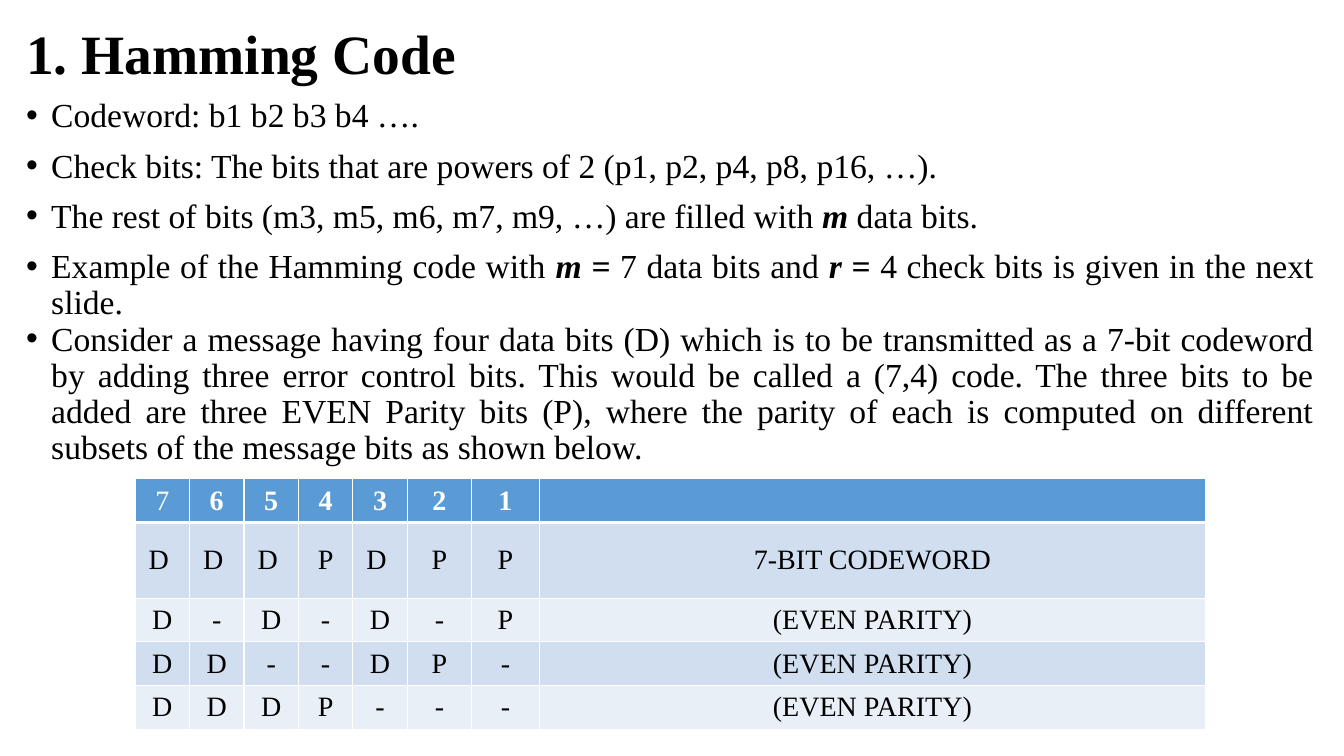
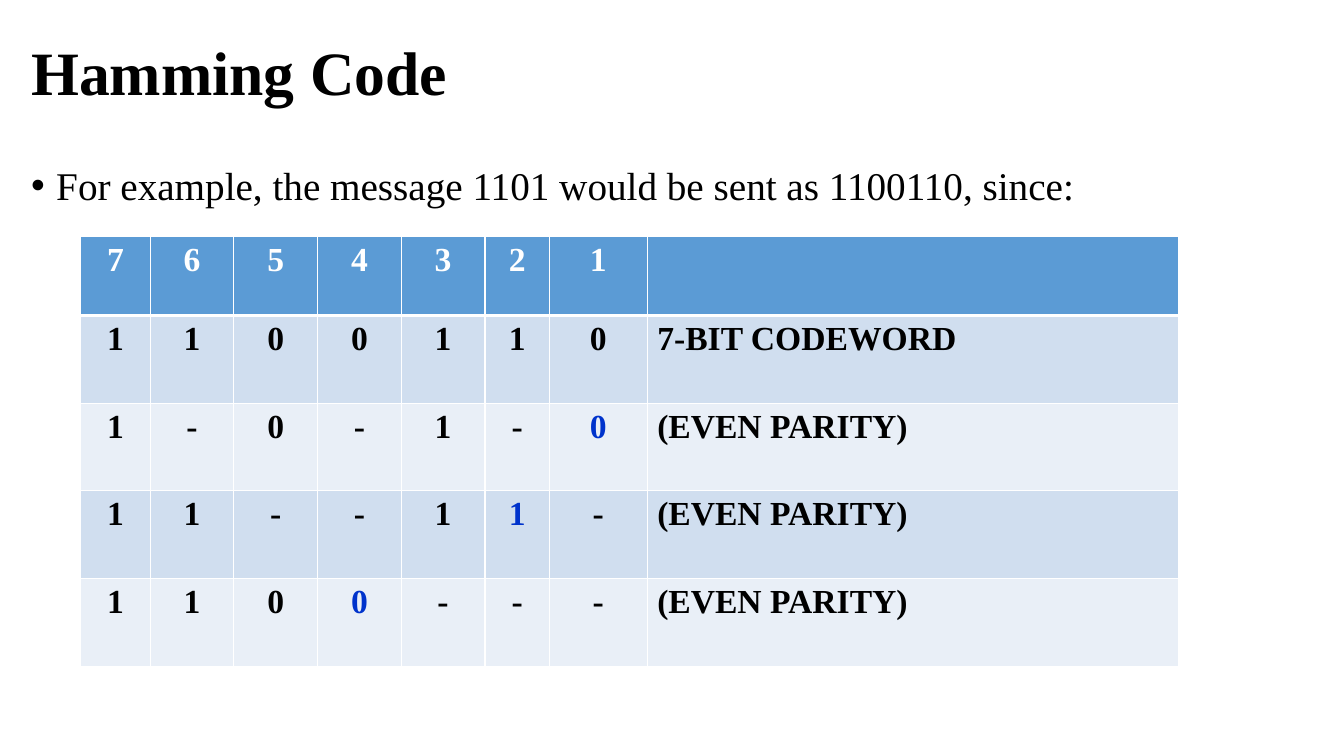
from lxml.etree import SubElement
from pptx import Presentation
from pptx.dml.color import RGBColor
from pptx.enum.text import MSO_ANCHOR, MSO_AUTO_SIZE, PP_ALIGN
from pptx.oxml.ns import qn
from pptx.util import Inches, Pt

# Shared style
FONT = "Times New Roman"
BLACK = RGBColor(0x00, 0x00, 0x00)
WHITE = RGBColor(0xFF, 0xFF, 0xFF)
PARITY_BLUE = RGBColor(0x00, 0x33, 0xCC)
HEADER_BLUE = RGBColor(0x5B, 0x9B, 0xD5)
BAND_DARK = RGBColor(0xD0, 0xDE, 0xEF)
BAND_LIGHT = RGBColor(0xE9, 0xEF, 0xF7)
LINE_SPACING = 0.9
BULLET_INDENT = Inches(0.25)
TITLE_ONLY = 5

BITS = ["7", "6", "5", "4", "3", "2", "1"]
CODEWORD = "7-BIT CODEWORD"
EVEN = "(EVEN PARITY)"


def write(p, text, emphasis=None, **fmt):
    """Write text into a paragraph; parts between asterisks take the emphasis."""
    for i, part in enumerate(text.split("*")):
        if not part:
            continue
        style = {"size": 24, "color": BLACK, "bold": False, "italic": False, **fmt}
        if i % 2:
            style.update(emphasis or {})
        r = p.add_run()
        r.text = part
        r.font.name = FONT
        r.font.size = Pt(style["size"])
        r.font.bold = style["bold"]
        r.font.italic = style["italic"]
        r.font.color.rgb = style["color"]


def add_bullet(p):
    pPr = p._p.get_or_add_pPr()
    pPr.set("marL", str(BULLET_INDENT))
    pPr.set("indent", str(-BULLET_INDENT))
    color = SubElement(pPr, qn("a:buClr"))
    SubElement(color, qn("a:srgbClr"), val=str(BLACK))
    SubElement(pPr, qn("a:buFont"), typeface="Arial")
    SubElement(pPr, qn("a:buChar"), char="•")


def add_titled_slide(prs, text, box, size):
    slide = prs.slides.add_slide(prs.slide_layouts[TITLE_ONLY])
    sp = slide.shapes.title
    sp.left, sp.top, sp.width, sp.height = map(Inches, box)
    tf = sp.text_frame
    tf.auto_size = MSO_AUTO_SIZE.NONE
    tf.vertical_anchor = MSO_ANCHOR.MIDDLE
    p = tf.paragraphs[0]
    p.alignment = PP_ALIGN.LEFT
    p.line_spacing = LINE_SPACING
    write(p, text, size=size, bold=True)
    return slide


def add_bullets(slide, items, box, size, align):
    """Add bulleted paragraphs, given as (text, space before) pairs."""
    tf = slide.shapes.add_textbox(*map(Inches, box)).text_frame
    tf.word_wrap = True
    for i, (text, space) in enumerate(items):
        p = tf.add_paragraph() if i else tf.paragraphs[0]
        add_bullet(p)
        p.alignment = align
        p.line_spacing = LINE_SPACING
        p.space_before = Pt(space)
        write(p, text, emphasis={"bold": True, "italic": True}, size=size)


def set_borders(cell, **widths):
    tcPr = cell._tc.get_or_add_tcPr()
    for side in "LRTB":
        ln = SubElement(tcPr, qn(f"a:ln{side}"), w=str(Pt(widths.get(side, 1))))
        fill = SubElement(ln, qn("a:solidFill"))
        SubElement(fill, qn("a:srgbClr"), val=str(WHITE))


def add_bit_table(slide, rows, left, top, widths, heights, anchor,
                  label_align, emphasis, size, bold):
    """Add a banded table with one column per bit and a label column."""
    shape = slide.shapes.add_table(
        len(rows), len(widths), Inches(left), Inches(top),
        Inches(sum(widths)), Inches(sum(heights)))
    table = shape.table
    table.horz_banding = False
    for column, width in zip(table.columns, widths):
        column.width = Inches(width)
    for i, (row, height) in enumerate(zip(rows, heights)):
        table.rows[i].height = Inches(height)
        header = i == 0
        band = HEADER_BLUE if header else (BAND_LIGHT, BAND_DARK)[i % 2]
        for j, text in enumerate(row):
            cell = table.cell(i, j)
            set_borders(cell, B=3 if header else 1, T=3 if i == 1 else 1)
            cell.fill.solid()
            cell.fill.fore_color.rgb = band
            cell.vertical_anchor = anchor
            p = cell.text_frame.paragraphs[0]
            p.alignment = label_align if j == len(BITS) else PP_ALIGN.CENTER
            write(p, text, emphasis, size=size, bold=header or bold,
                  color=WHITE if header else BLACK)


def build_rules_slide(prs):
    slide = add_titled_slide(prs, "1. Hamming Code", (0.16, 0.19, 11.5, 0.74), 39.6)
    add_bullets(slide, [
        ("Codeword: b1 b2 b3 b4 ….", 0),
        ("Check bits: The bits that are powers of 2 (p1, p2, p4, p8, p16, …).", 10),
        ("The rest of bits (m3, m5, m6, m7, m9, …) are filled with *m* data bits.", 10),
        ("Example of the Hamming code with *m = *7 data bits and *r =* 4 check bits "
         "is given in the next slide.", 10),
        ("Consider a message having four data bits (D) which is to be transmitted "
         "as a 7-bit codeword by adding three error control bits. This would be "
         "called a (7,4) code. The three bits to be added are three EVEN Parity "
         "bits (P), where the parity of each is computed on different subsets of "
         "the message bits as shown below.", 0),
    ], (0.16, 0.93, 12.97, 4.31), 24, PP_ALIGN.JUSTIFY)
    rows = [
        ["*7*", *BITS[1:], ""],
        ["D ", "D ", "D ", "P", "D ", "P", "P", CODEWORD],
        [*"D-D-D-P", EVEN],
        [*"DD--DP-", EVEN],
        [*"DDDP---", EVEN],
    ]
    add_bit_table(slide, rows, 1.34, 4.75, [0.54] * 5 + [0.64, 0.67, 6.61],
                  [0.43, 0.75] + [0.43] * 3, MSO_ANCHOR.MIDDLE,
                  PP_ALIGN.CENTER, {"bold": False}, size=20, bold=False)


def build_example_slide(prs):
    slide = add_titled_slide(prs, "Hamming Code", (0.21, 0.13, 11.5, 1.23), 44)
    add_bullets(slide, [
        ("For example, the message 1101 would be sent as 1100110, since:", 0),
    ], (0.21, 1.6, 11.5, 0.6), 28, PP_ALIGN.LEFT)
    rows = [
        [*BITS, ""],
        [*"1100110", CODEWORD],
        [*"1-0-1-", "*0*", EVEN],
        [*"11--1", "*1*", "-", EVEN],
        [*"110", "*0*", *"---", EVEN],
    ]
    add_bit_table(slide, rows, 0.8, 2.35, [0.69] + [0.83] * 4 + [0.64, 0.97, 5.27],
                  [0.78] + [0.87] * 4, MSO_ANCHOR.TOP,
                  PP_ALIGN.LEFT, {"color": PARITY_BLUE}, size=24, bold=True)


def main():
    prs = Presentation()
    prs.slide_width, prs.slide_height = Inches(13.33), Inches(7.5)
    build_rules_slide(prs)
    build_example_slide(prs)
    prs.save("out.pptx")


if __name__ == "__main__":
    main()
